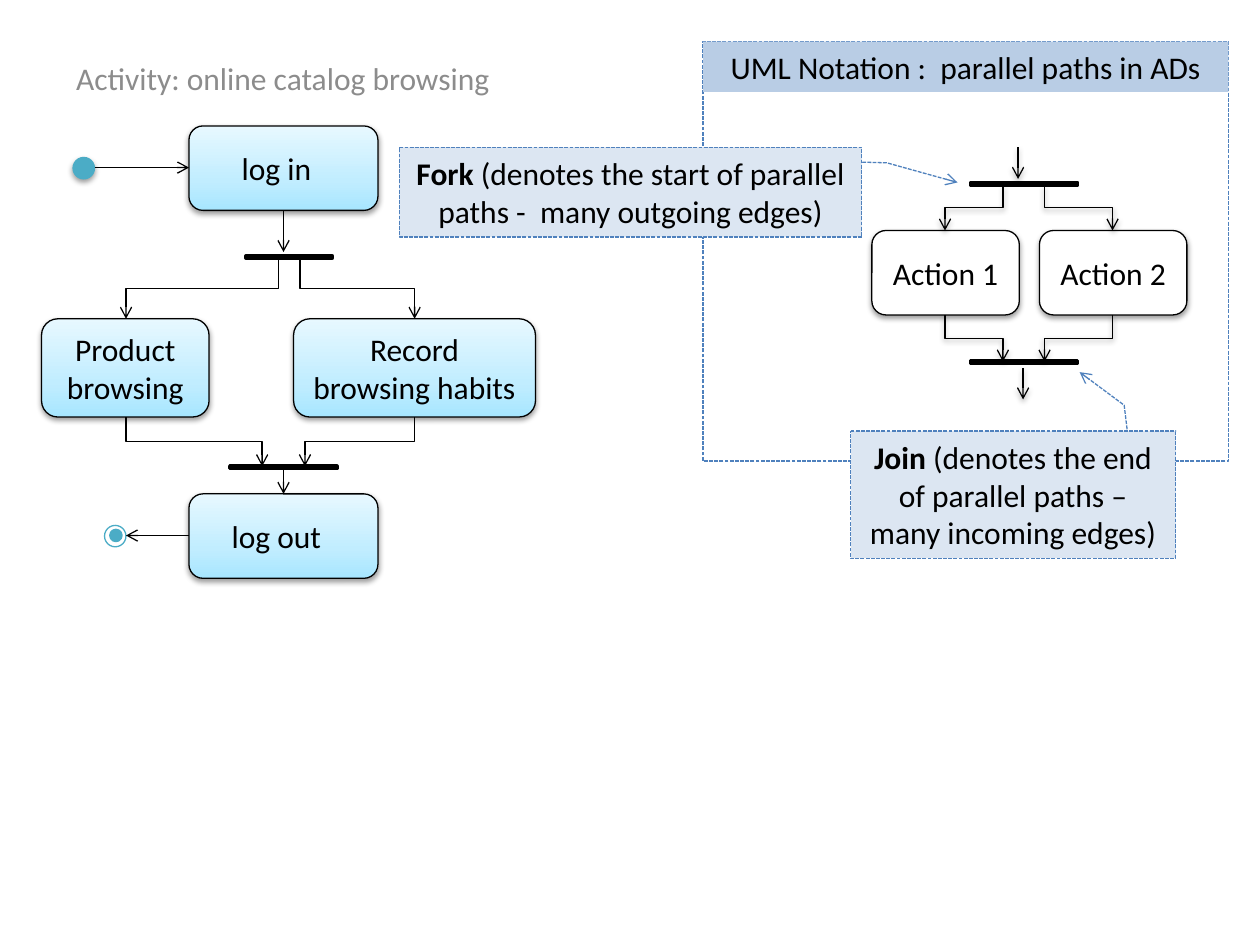
import copy

import pptx
import pptx.dml.color
import pptx.enum.dml
import pptx.enum.shapes
import pptx.enum.text
import pptx.oxml
import pptx.oxml.ns
import pptx.util

RGBColor = pptx.dml.color.RGBColor
Inches = pptx.util.Inches
Pt = pptx.util.Pt
qn = pptx.oxml.ns.qn
SHAPE = pptx.enum.shapes.MSO_SHAPE
CONNECTOR = pptx.enum.shapes.MSO_CONNECTOR
ANCHOR = pptx.enum.text.MSO_ANCHOR

BLACK = RGBColor(0x00, 0x00, 0x00)
WHITE = RGBColor(0xFF, 0xFF, 0xFF)
GRAY = RGBColor(0x8C, 0x8C, 0x8C)
TEAL = RGBColor(0x4B, 0xAC, 0xC6)
NAVY = RGBColor(0x1F, 0x49, 0x7D)
BLUE = RGBColor(0x4F, 0x81, 0xBD)
HEADER_BLUE = RGBColor(0xB9, 0xCD, 0xE5)
CALLOUT_BLUE = RGBColor(0xDC, 0xE6, 0xF2)
SKY_STOPS = [
    (0, RGBColor(0xA7, 0xE6, 0xFF)),
    (0.35, RGBColor(0xC1, 0xED, 0xFF)),
    (1, RGBColor(0xE7, 0xF8, 0xFF)),
]

TITLE = ("Activity: online catalog browsing", (0.33, 0.42, 3.83, 0.4))
PANEL = (5.58, 0.33, 4.17, 3.33)
HEADER = ("UML Notation :  parallel paths in ADs", (5.58, 0.33, 4.17, 0.4))
ACTIVITIES = [
    ("log in", (1.5, 1, 1.5, 0.67), SKY_STOPS, 0.21),
    ("Record browsing habits", (2.33, 2.53, 1.92, 0.78), SKY_STOPS, 0.1),
    ("Product browsing", (0.33, 2.53, 1.33, 0.78), SKY_STOPS, 0.1),
    ("log out", (1.5, 3.92, 1.5, 0.67), SKY_STOPS, 0.21),
    ("Action 1", (6.92, 1.83, 1.17, 0.67), WHITE, 0.1),
    ("Action 2", (8.25, 1.83, 1.17, 0.67), WHITE, 0.1),
]
BARS = [
    (1.92, 2, 4, NAVY),
    (1.79, 3.67, 5, BLUE),
    (7.67, 1.42, 5, BLACK),
    (7.67, 2.83, 5, BLACK),
]
CALLOUTS = [
    ("Fork ", "(denotes the start of parallel paths -  many outgoing edges)",
     (3.17, 1.17, 3.67, 0.71), (0.165, 1.001, 0.172, 1.054, 0.392, 1.207)),
    ("Join ", "(denotes the end of parallel paths – many incoming edges)",
     (6.75, 3.42, 2.58, 1.01), (-0.013, 0.851, -0.202, 0.842, -0.462, 0.705)),
]
STRAIGHT_ARROWS = [
    (0.75, 1.33, 1.5, 1.33, False),
    (2.25, 1.67, 2.25, 2, False),
    (1.5, 4.25, 1, 4.25, False),
    (2.25, 3.72, 2.25, 3.92, False),
    (8.08, 1.17, 8.08, 1.42, True),
    (8.12, 2.92, 8.12, 3.17, True),
]
BENT_ARROWS = [
    (2.38, 2.05, 3.29, 2.53, False),
    (2.21, 2.05, 1, 2.53, False),
    (3.29, 3.31, 2.42, 3.7, False),
    (1, 3.31, 2.08, 3.7, False),
    (7.96, 1.47, 7.5, 1.83, True),
    (8.29, 1.47, 8.83, 1.83, True),
    (7.5, 2.5, 7.96, 2.87, True),
    (8.83, 2.5, 8.29, 2.87, True),
]
START_DOT = (0.58, 1.25, 0.17, 0.17)
END_RING = (0.83, 4.17, 0.17, 0.17)
END_DOT = (0.88, 4.21, 0.08, 0.08)
SEGMENT_STEP = 1 / 6


def set_effects(item, shadow):
    properties = item.element.spPr
    for old in properties.findall(qn("a:effectLst")):
        properties.remove(old)
    content = (
        '<a:outerShdw blurRad="40000" dist="20000" dir="5400000" rotWithShape="0">'
        '<a:srgbClr val="000000"><a:alpha val="38000"/></a:srgbClr></a:outerShdw>'
    ) if shadow else ""
    properties.append(pptx.oxml.parse_xml(
        f'<a:effectLst {pptx.oxml.ns.nsdecls("a")}>{content}</a:effectLst>'))


def add_arrowhead(item):
    item.element.spPr.find(qn("a:ln")).append(pptx.oxml.parse_xml(
        f'<a:tailEnd {pptx.oxml.ns.nsdecls("a")} type="arrow"/>'))


def set_fill(shape, fill):
    if fill is None:
        shape.fill.background()
    elif isinstance(fill, list):
        shape.fill.gradient()
        shape.fill.gradient_angle = 90
        stop_list = shape.element.spPr.find(".//" + qn("a:gsLst"))
        stop_list.append(copy.deepcopy(stop_list[0]))
        for stop, (position, color) in zip(shape.fill.gradient_stops, fill):
            stop.position = position
            stop.color.rgb = color
    else:
        shape.fill.solid()
        shape.fill.fore_color.rgb = fill


def add_box(parent, kind, place, fill, line=None, width=0.75, dashed=False, shadow=False):
    shape = parent.add_shape(kind, *map(Inches, place))
    set_fill(shape, fill)
    if line is None:
        shape.line.fill.background()
    else:
        shape.line.color.rgb = line
        shape.line.width = Pt(width)
    if dashed:
        shape.line.dash_style = pptx.enum.dml.MSO_LINE.SQUARE_DOT
    set_effects(shape, shadow)
    return shape


def write(shape, *texts, color=BLACK, anchor=ANCHOR.MIDDLE, bold_first=False):
    frame = shape.text_frame
    frame.word_wrap = True
    frame.vertical_anchor = anchor
    para = frame.paragraphs[0]
    para.alignment = pptx.enum.text.PP_ALIGN.CENTER
    for index, text in enumerate(texts):
        span = para.add_run()
        span.text = text
        span.font.name = "Calibri"
        span.font.size = Pt(18)
        span.font.color.rgb = color
        span.font.bold = bold_first and index == 0


def add_arrow(parent, kind, ends, shadow):
    arrow = parent.add_connector(kind, *map(Inches, ends))
    arrow.line.color.rgb = BLACK
    arrow.line.width = Pt(0.75)
    add_arrowhead(arrow)
    set_effects(arrow, shadow)
    return arrow


def add_bent_arrow(parent, x1, y1, x2, y2, shadow):
    across, down = abs(x2 - x1), y2 - y1
    left = (x1 + x2 - down) / 2
    top = (y1 + y2 - across) / 2
    arrow = add_arrow(parent, CONNECTOR.ELBOW, (left, top, left + down, top + across), shadow)
    frame = arrow.element.spPr.find(qn("a:xfrm"))
    if x2 > x1:
        frame.set("rot", "16200000")
        frame.set("flipH", "1")
    else:
        frame.set("rot", "5400000")


def main():
    deck = pptx.Presentation()
    deck.slide_width, deck.slide_height = Inches(10), Inches(7.5)
    page = deck.slides.add_slide(deck.slide_layouts[6])
    shapes = page.shapes

    title, place = TITLE
    write(shapes.add_textbox(*map(Inches, place)), title, color=GRAY, anchor=ANCHOR.TOP)
    add_box(shapes, SHAPE.RECTANGLE, PANEL, None, BLUE, dashed=True)
    header, place = HEADER
    write(add_box(shapes, SHAPE.RECTANGLE, place, HEADER_BLUE), header, anchor=ANCHOR.TOP)

    for text, place, fill, right_inset in ACTIVITIES:
        box = add_box(shapes, SHAPE.ROUNDED_RECTANGLE, place, fill, BLACK, shadow=True)
        box.text_frame.margin_right = Inches(right_inset)
        write(box, text)
    add_box(shapes, SHAPE.OVAL, START_DOT, TEAL, TEAL, shadow=True)
    end_node = shapes.add_group_shape().shapes
    add_box(end_node, SHAPE.OVAL, END_RING, WHITE, TEAL)
    add_box(end_node, SHAPE.OVAL, END_DOT, TEAL, TEAL, 2)

    for left, top, count, fill in BARS:
        bar = shapes.add_group_shape().shapes
        for index in range(count):
            place = (left + index * SEGMENT_STEP, top, 0.25, 0.08)
            add_box(bar, SHAPE.MATH_MINUS, place, fill, BLACK, 2)
    for *ends, shadow in STRAIGHT_ARROWS:
        add_arrow(shapes, CONNECTOR.STRAIGHT, ends, shadow)
    for arrow in BENT_ARROWS:
        add_bent_arrow(shapes, *arrow)

    for term, meaning, place, pointer in CALLOUTS:
        callout = add_box(shapes, SHAPE.LINE_CALLOUT_2, place, CALLOUT_BLUE, BLUE, dashed=True)
        for index, value in enumerate(pointer):
            callout.adjustments[index] = value
        add_arrowhead(callout)
        write(callout, term, meaning, bold_first=True)
    deck.save("out.pptx")


if __name__ == "__main__":
    main()
